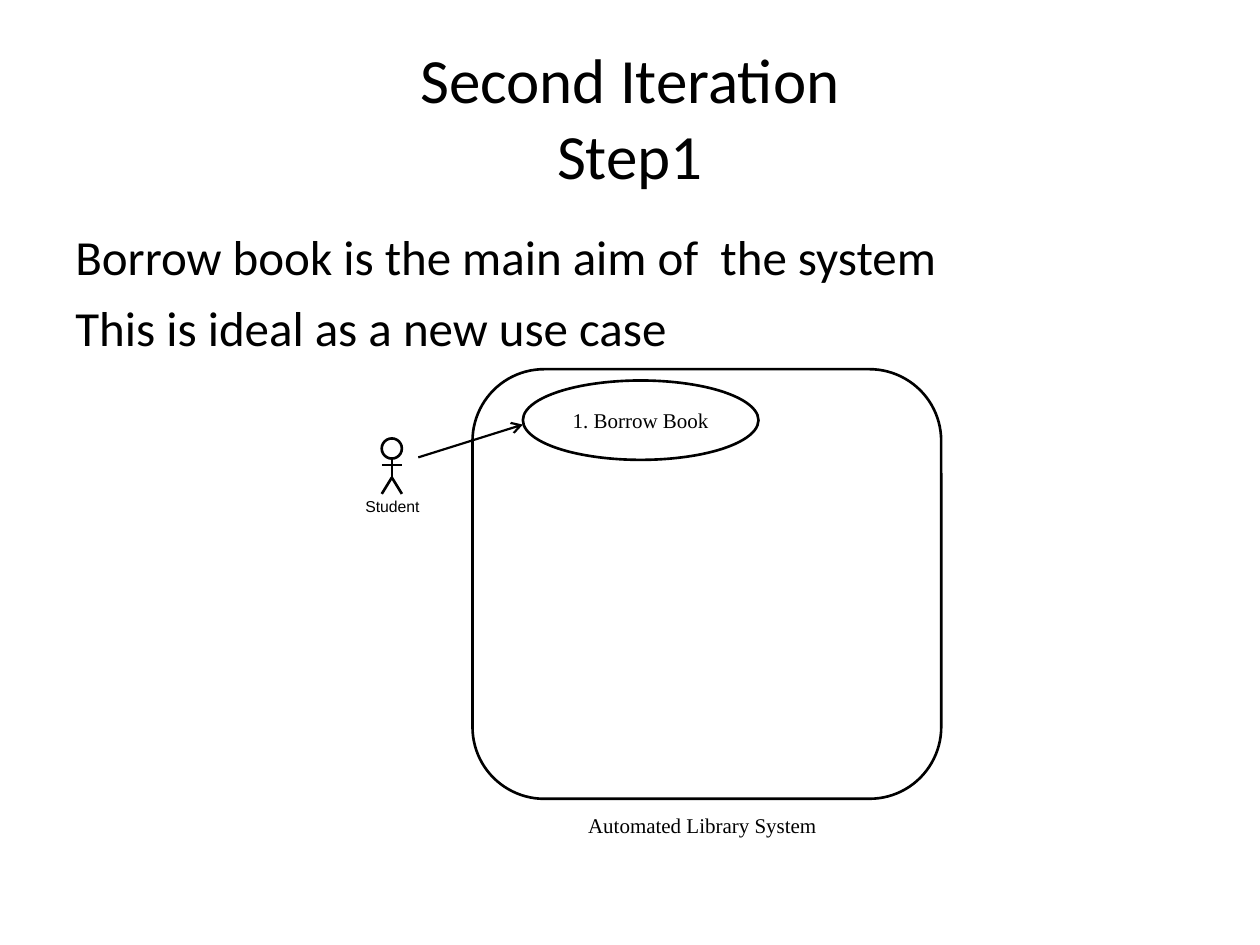
from dataclasses import dataclass

from lxml import etree
from pptx import Presentation
from pptx import util as u
from pptx.dml.color import RGBColor
from pptx.enum import shapes, text
from pptx.oxml import ns
from pptx.slide import Slide

BLACK = RGBColor(0x00, 0x00, 0x00)
WHITE = RGBColor(0xFF, 0xFF, 0xFF)


@dataclass
class Diagram:
    slide: Slide
    color: RGBColor = BLACK
    line_width: float = 1.5

    def add_text(self, shape, lines, font, size, align, anchor, space_before=0):
        frame = shape.text_frame
        frame.word_wrap = True
        frame.vertical_anchor = anchor
        for index, line in enumerate(lines):
            paragraph = frame.add_paragraph() if index else frame.paragraphs[0]
            paragraph.alignment = align
            paragraph.space_before = u.Pt(space_before)
            for part_index, part in enumerate(line.split("\n")):
                if part_index:
                    paragraph.add_line_break()
                run = paragraph.add_run()
                run.text = part
                run.font.name = font
                run.font.size = u.Pt(size)
                run.font.color.rgb = self.color

    def textbox(self, box, lines, font, size, align=text.PP_ALIGN.CENTER,
                anchor=text.MSO_ANCHOR.TOP, space_before=0):
        shape = self.slide.shapes.add_textbox(*map(u.Inches, box))
        self.add_text(shape, lines, font, size, align, anchor, space_before)

    def outline(self, kind, box):
        shape = self.slide.shapes.add_shape(kind, *map(u.Inches, box))
        shape.shadow.inherit = False
        shape.fill.background()
        shape.line.color.rgb = self.color
        shape.line.width = u.Pt(self.line_width)
        return shape

    def use_case(self, box, label):
        shape = self.outline(shapes.MSO_SHAPE.OVAL, box)
        self.add_text(shape, [label], "Times New Roman", 12,
                      text.PP_ALIGN.CENTER, text.MSO_ANCHOR.MIDDLE)

    def system(self, box, label_box, label):
        shape = self.outline(shapes.MSO_SHAPE.ROUNDED_RECTANGLE, box)
        shape.adjustments[0] = 0.167
        self.textbox(label_box, [label], "Times New Roman", 12)

    def line(self, start, end, width=None, arrow=False):
        connector = self.slide.shapes.add_connector(
            shapes.MSO_CONNECTOR.STRAIGHT, *map(u.Inches, (*start, *end)))
        connector.line.color.rgb = self.color
        connector.line.width = u.Pt(width or self.line_width)
        properties = connector.element.spPr
        if arrow:
            etree.SubElement(properties.find(ns.qn("a:ln")),
                             ns.qn("a:tailEnd"), type="arrow")
        etree.SubElement(properties, ns.qn("a:effectLst"))

    def actor(self, center, top, label):
        reach = 0.08
        left, right = center - reach, center + reach
        neck, arms, hip, feet = (top + drop for drop in (0.16, 0.21, 0.31, 0.44))
        self.outline(shapes.MSO_SHAPE.OVAL, (left, top, 2 * reach, 2 * reach))
        self.line((center, neck), (center, hip))
        self.line((left, arms), (right, arms))
        for foot in (left, right):
            self.line((center, hip), (foot, feet))
        self.textbox((center - 0.58, top + 0.41, 1.17, 0.25), [label], "Arial", 9)


def main():
    presentation = Presentation()
    presentation.slide_width = u.Inches(10)
    presentation.slide_height = u.Inches(7.5)
    slide = presentation.slides.add_slide(presentation.slide_layouts[6])
    slide.background.fill.solid()
    slide.background.fill.fore_color.rgb = WHITE

    diagram = Diagram(slide)
    diagram.textbox((0.5, 0.3, 9, 1.25), ["Second Iteration\nStep1"],
                    "Calibri", 36, anchor=text.MSO_ANCHOR.MIDDLE)
    diagram.textbox((0.5, 1.75, 9, 4.95),
                    ["Borrow book is the main aim of  the system",
                     "This is ideal as a new use case"],
                    "Calibri", 28, align=text.PP_ALIGN.LEFT, space_before=7)
    diagram.system((3.75, 2.93, 3.72, 3.41), (4.32, 6.4, 2.51, 0.53),
                   "Automated Library System")
    diagram.use_case((4.15, 3.02, 1.87, 0.63), "1. Borrow Book")
    diagram.actor(3.11, 3.48, "Student")
    diagram.line((3.32, 3.63), (4.15, 3.37), width=1.25, arrow=True)
    presentation.save("out.pptx")


if __name__ == "__main__":
    main()
